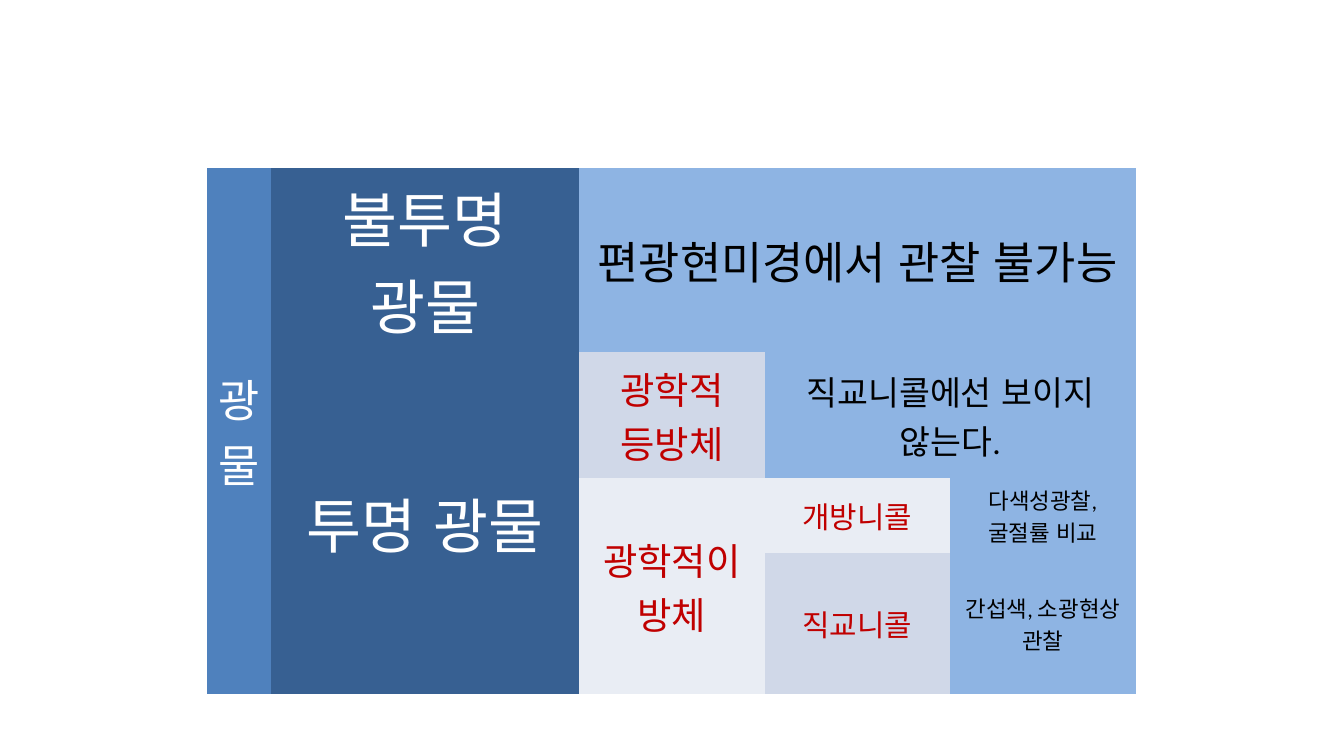
from dataclasses import dataclass

import lxml.etree
import pptx
import pptx.dml.color
import pptx.enum.lang
import pptx.enum.text
import pptx.oxml.ns
import pptx.table
import pptx.util

Inches = pptx.util.Inches

WHITE = "FFFFFF"
BLACK = "000000"
RED = "C00000"
MEDIUM_BLUE = "4F81BD"
DARK_BLUE = "376092"
LIGHT_BLUE = "8EB4E3"
GREY_BLUE = "D0D8E8"
PALE_BLUE = "E9EDF4"

COLUMN_WIDTHS = [0.48, 2.29, 1.38, 1.38, 1.38]
ROW_HEIGHTS = [1.37, 0.94, 0.47, 0.11]


@dataclass
class Entry:
    row: int
    column: int
    text: str
    size: int
    color: str
    fill: str
    rows: int = 1
    columns: int = 1
    side_margin: float = 5.4


ENTRIES = [
    Entry(0, 0, "광물", 24, WHITE, MEDIUM_BLUE, rows=4),
    Entry(0, 1, "불투명 광물", 32, WHITE, DARK_BLUE, side_margin=7.2),
    Entry(0, 2, "편광현미경에서 관찰 불가능", 24, BLACK, LIGHT_BLUE, columns=3),
    Entry(1, 1, "투명 광물", 32, WHITE, DARK_BLUE, rows=3),
    Entry(1, 2, "광학적 등방체", 20, RED, GREY_BLUE),
    Entry(1, 3, "직교니콜에선 보이지 않는다.", 18, BLACK, LIGHT_BLUE, columns=2),
    Entry(2, 2, "광학적이방체", 20, RED, PALE_BLUE, rows=2),
    Entry(2, 3, "개방니콜", 16, RED, PALE_BLUE),
    Entry(2, 4, "다색성광찰, 굴절률 비교", 12, BLACK, LIGHT_BLUE),
    Entry(3, 3, "직교니콜", 16, RED, GREY_BLUE),
    Entry(3, 4, "간섭색, 소광현상 관찰", 12, BLACK, LIGHT_BLUE),
]


def rgb(value: str) -> pptx.dml.color.RGBColor:
    return pptx.dml.color.RGBColor.from_string(value)


def format_cell(cell: pptx.table._Cell, entry: Entry) -> None:
    properties = cell._tc.get_or_add_tcPr()
    for side in ("a:lnL", "a:lnR", "a:lnT", "a:lnB"):
        border = lxml.etree.SubElement(properties, pptx.oxml.ns.qn(side))
        lxml.etree.SubElement(border, pptx.oxml.ns.qn("a:noFill"))
    cell.fill.solid()
    cell.fill.fore_color.rgb = rgb(entry.fill)
    cell.margin_left = cell.margin_right = pptx.util.Pt(entry.side_margin)
    cell.margin_top = cell.margin_bottom = pptx.util.Pt(2.7)
    cell.vertical_anchor = pptx.enum.text.MSO_ANCHOR.MIDDLE


def write_entry(table: pptx.table.Table, entry: Entry) -> None:
    last_row = entry.row + entry.rows
    last_column = entry.column + entry.columns
    for row in range(entry.row, last_row):
        for column in range(entry.column, last_column):
            format_cell(table.cell(row, column), entry)
    cell = table.cell(entry.row, entry.column)
    if entry.rows * entry.columns > 1:
        cell.merge(table.cell(last_row - 1, last_column - 1))
    paragraph = cell.text_frame.paragraphs[0]
    paragraph.text = entry.text
    paragraph.alignment = pptx.enum.text.PP_ALIGN.CENTER
    paragraph.font.name = "Calibri"
    paragraph.font.size = pptx.util.Pt(entry.size)
    paragraph.font.bold = False
    paragraph.font.language_id = pptx.enum.lang.MSO_LANGUAGE_ID.KOREAN
    paragraph.font.color.rgb = rgb(entry.color)


def main() -> None:
    deck = pptx.Presentation()
    deck.slide_width = Inches(10)
    deck.slide_height = deck.slide_width * 9 // 16
    page = deck.slides.add_slide(deck.slide_layouts[6])

    frame = page.shapes.add_table(
        len(ROW_HEIGHTS), len(COLUMN_WIDTHS),
        Inches(1.54), Inches(1.25), Inches(6.91), Inches(3.26),
    )
    table = frame.table
    table.first_row = False
    table.horz_banding = False
    for column, width in zip(table.columns, COLUMN_WIDTHS):
        column.width = Inches(width)
    for row, height in zip(table.rows, ROW_HEIGHTS):
        row.height = Inches(height)
    frame.height = Inches(3.26)

    for entry in ENTRIES:
        write_entry(table, entry)

    deck.save("out.pptx")


if __name__ == "__main__":
    main()
